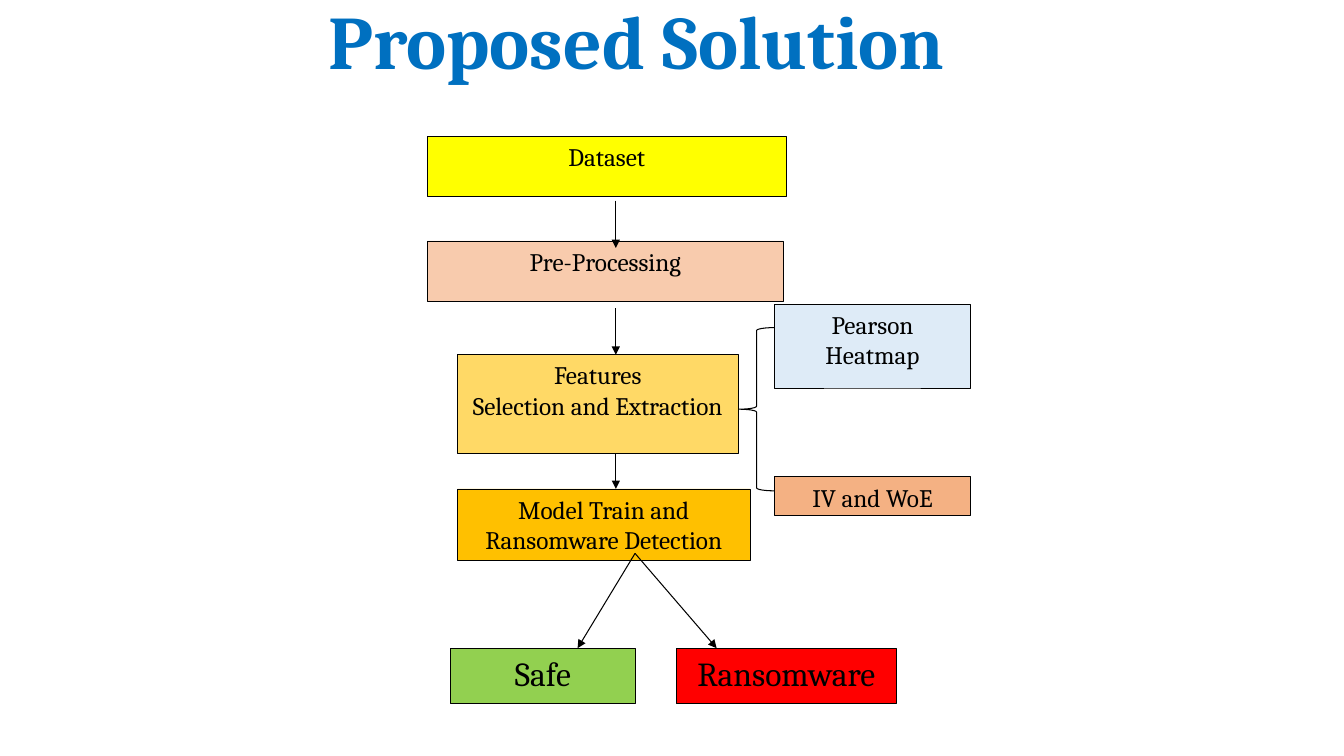
"""Build the Proposed Solution flowchart slide."""
from dataclasses import dataclass

from lxml.etree import SubElement
from pptx import Presentation
from pptx.dml.color import RGBColor
from pptx.enum.shapes import MSO_CONNECTOR, MSO_SHAPE
from pptx.enum.text import MSO_ANCHOR, PP_ALIGN
from pptx.oxml.ns import qn
from pptx.util import Pt


@dataclass(frozen=True)
class Theme:
    """Colours, type sizes and line widths of the slide."""
    font: str = "Cambria"
    title: str = "0070C0"
    ink: str = "000000"
    dataset: str = "FFFF00"
    processing: str = "F8CBAD"
    features: str = "FFD966"
    model: str = "FFC000"
    safe: str = "92D050"
    ransomware: str = "FF0000"
    heatmap: str = "DEEBF7"
    evidence: str = "F4B183"
    title_size: float = 54
    step_size: float = 18
    result_size: float = 24
    border: float = 0.5
    stroke: float = 0.75


THEME = Theme()
STEPS = [
    ("Dataset", THEME.dataset, (0, 0, 256.3, 43.2)),
    ("Pre-Processing", THEME.processing, (0, 74.9, 254.2, 43.2)),
    ("Features\vSelection and Extraction", THEME.features, (21.6, 156.2, 200.2, 70.6)),
    ("Model Train and Ransomware Detection", THEME.model, (21.6, 252, 208.8, 51.1)),
]
RESULTS = [
    ("Safe", THEME.safe, (16.6, 365.8, 131.8, 39.6)),
    ("Ransomware", THEME.ransomware, (177.8, 365.8, 157, 39.6)),
]
METHODS = [
    ("Pearson Heatmap", THEME.heatmap, (25.2, 0, 140.4, 59.8)),
    ("IV and WoE", THEME.evidence, (25.2, 123.2, 140.4, 27.4)),
]
STEP_ARROWS = [(46.1, 79.9), (123.1, 156.2), (226.8, 252)]
STEP_AXIS = 134.6
FORK = (148.3, 298.1)
FORK_ENDS = [(107.3, 365.8), (206.6, 365.8)]


def apply_format(target, values):
    """Set every named attribute on the target."""
    for name, value in values.items():
        setattr(target, name, value)


def write_text(shape, text, size, color, anchor, **font_values):
    """Write one centred paragraph into a shape."""
    frame = shape.text_frame
    apply_format(frame, {"word_wrap": True, "vertical_anchor": anchor})
    para = frame.paragraphs[0]
    para.text = text
    para.alignment = PP_ALIGN.CENTER
    for span in para.runs:
        apply_format(span.font, {"name": THEME.font, "size": Pt(size), **font_values})
        span.font.color.rgb = RGBColor.from_string(color)
    return para


def set_line(line, width):
    """Give a line the ink colour and a width."""
    line.color.rgb = RGBColor.from_string(THEME.ink)
    line.width = Pt(width)


def add_block(page, origin, block, size):
    """Add one bordered, filled and labelled rectangle."""
    text, color, (left, top, width, height) = block
    box = page.shapes.add_shape(
        MSO_SHAPE.RECTANGLE, Pt(origin[0] + left), Pt(origin[1] + top), Pt(width), Pt(height))
    box.shadow.inherit = False
    box.fill.solid()
    box.fill.fore_color.rgb = RGBColor.from_string(color)
    set_line(box.line, THEME.border)
    write_text(box, text, size, THEME.ink, MSO_ANCHOR.TOP)


def add_arrow(page, origin, start, end):
    """Add a straight line with a triangle at its end."""
    points = [Pt(base + offset) for point in (start, end) for base, offset in zip(origin, point)]
    arrow = page.shapes.add_connector(MSO_CONNECTOR.STRAIGHT, *points)
    set_line(arrow.line, THEME.stroke)
    SubElement(arrow.line._get_or_add_ln(), qn("a:tailEnd"), type="triangle")
    SubElement(arrow._element.spPr, qn("a:effectLst"))


def add_title(page, left, top, width, height):
    """Add the slide heading in its box."""
    box = page.shapes.add_textbox(Pt(left), Pt(top), Pt(width), Pt(height))
    para = write_text(
        box, "Proposed Solution", THEME.title_size, THEME.title, MSO_ANCHOR.BOTTOM, bold=True)
    para.line_spacing = 0.9


def add_flow(page, left, top):
    """Add the steps, the two results and their arrows."""
    origin = (left, top)
    for blocks, size in ((STEPS, THEME.step_size), (RESULTS, THEME.result_size)):
        for block in blocks:
            add_block(page, origin, block, size)
    for start, end in STEP_ARROWS:
        add_arrow(page, origin, (STEP_AXIS, start), (STEP_AXIS, end))
    for end in FORK_ENDS:
        add_arrow(page, origin, FORK, end)


def add_methods(page, left, top):
    """Add the two feature methods and the brace that gathers them."""
    for block in METHODS:
        add_block(page, (left, top), block, THEME.step_size)
    brace = page.shapes.add_shape(
        MSO_SHAPE.LEFT_BRACE, Pt(left), Pt(top + 16.6), Pt(25.2), Pt(116.6))
    brace.shadow.inherit = False
    brace.fill.background()
    set_line(brace.line, THEME.stroke)


def main():
    """Build and save the deck."""
    deck = Presentation()
    apply_format(deck, {"slide_width": Pt(960), "slide_height": Pt(540)})
    page = deck.slides.add_slide(deck.slide_layouts[6])
    add_title(page, 12.2, 4.3, 884.9, 60.5)
    add_flow(page, 305.3, 97.2)
    add_methods(page, 527.8, 217.4)
    deck.save("out.pptx")


if __name__ == "__main__":
    main()
